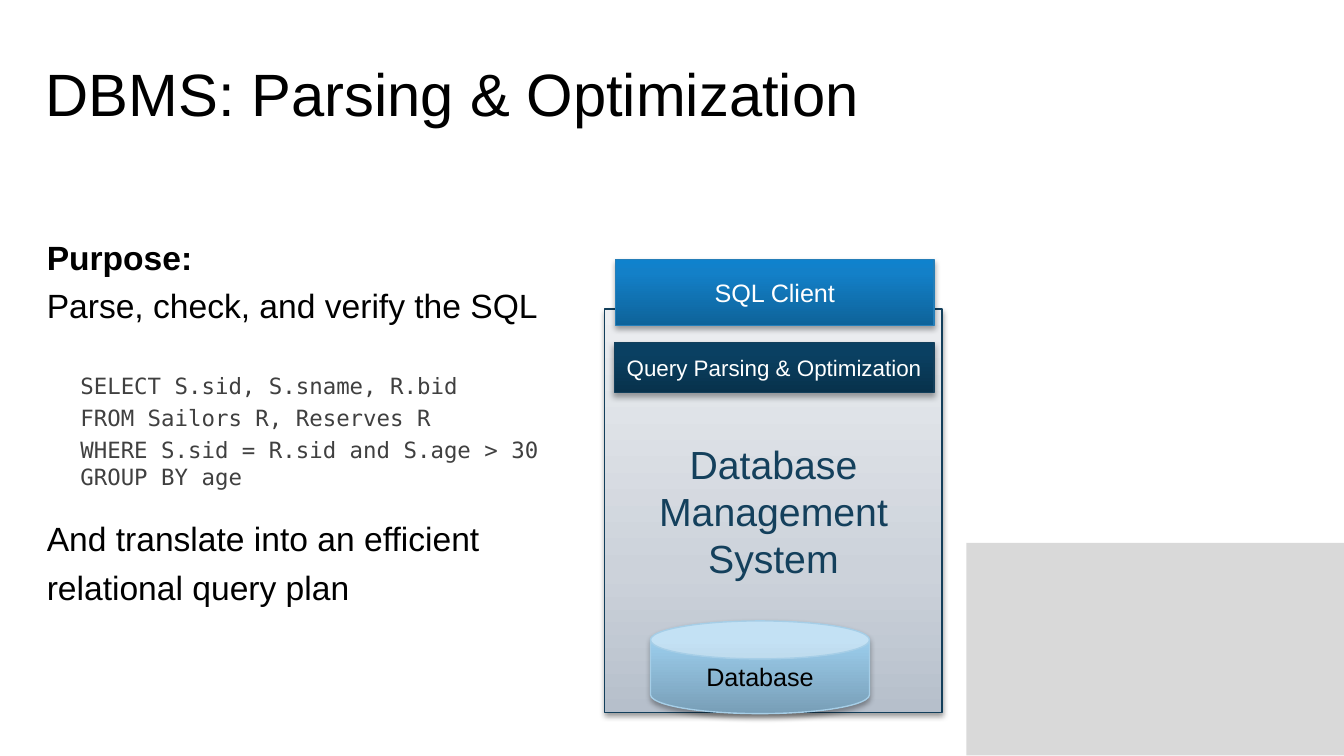
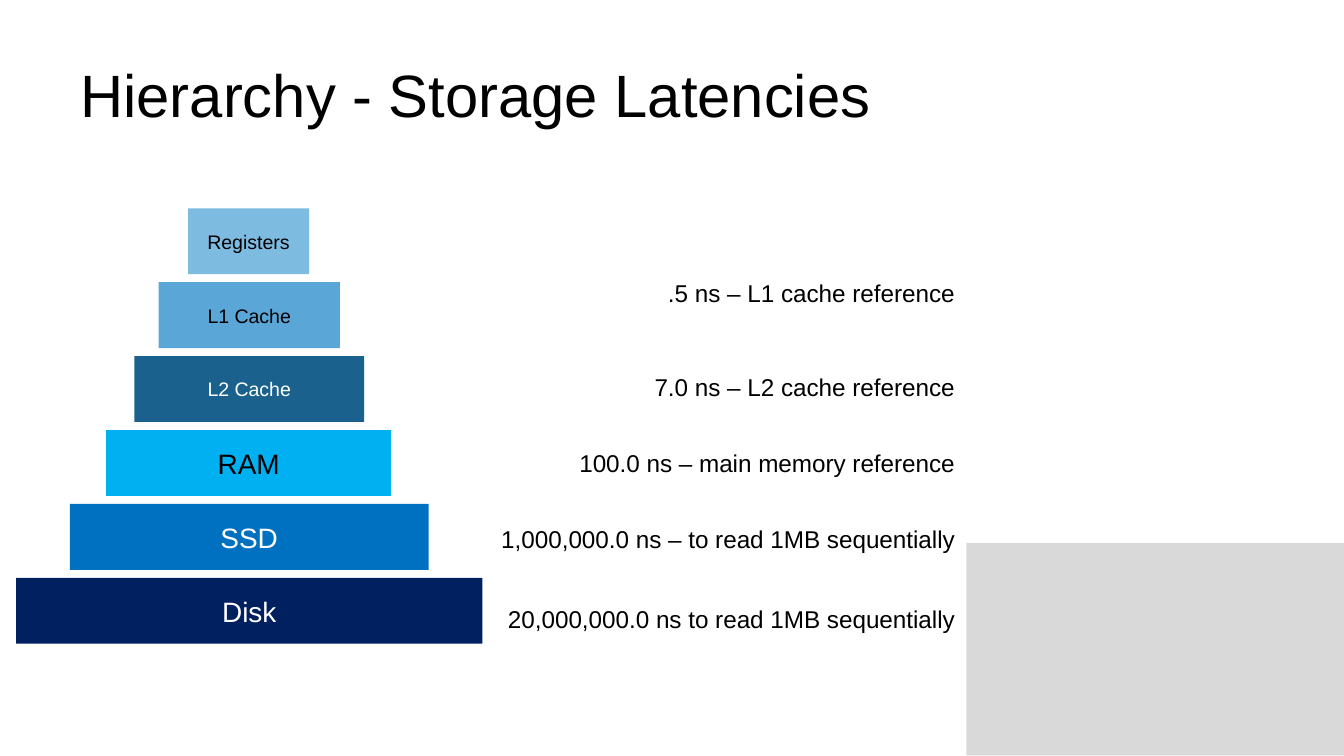
from copy import deepcopy
from dataclasses import dataclass

from lxml import etree
from pptx import Presentation
from pptx import util as u
from pptx.dml.color import RGBColor
from pptx.enum import shapes, text
from pptx.oxml.ns import qn

PX = 9144  # EMU, 100 px to the inch
LEFT, MID, RIGHT = text.PP_ALIGN.LEFT, text.PP_ALIGN.CENTER, text.PP_ALIGN.RIGHT
RECT, CAN = shapes.MSO_SHAPE.RECTANGLE, shapes.MSO_SHAPE.CAN


@dataclass(frozen=True)
class Theme:
    sans: str = "Arial"
    mono: str = "DejaVu Sans Mono"
    black: str = "000000"
    white: str = "FFFFFF"
    grey: str = "D9D9D9"
    code: str = "404040"
    name: str = "14405C"
    edge: str = "133F5B"
    # gradients run from bottom to top: (percent, colour)
    pale: tuple = ((0, "B6BFCB"), (35, "CCD2DA"), (100, "ECEEF1"))
    sky: tuple = ((0, "789EB7"), (80, "9CCEED"), (100, "9CCFF0"))
    rim: str = "A6CEE7"
    navy: tuple = ((0, "08324C"), (80, "0A4062"), (100, "094165"))
    blue: tuple = ((0, "0E639A"), (80, "1380C8"), (100, "0F82CD"))
    trim: str = "257EB8"
    tiers: tuple = ("7EBBE1", "59A6D7", "1B618E", "00B0F0", "0070C0", "002060")
    title: float = 32
    body: float = 18
    list: float = 13
    query: float = 12
    big: float = 21
    label: float = 13.5
    small: float = 12
    cache: float = 10.5
    store: float = 15


T = Theme()


def px(*vals):
    return [u.Emu(v * PX) for v in vals]


def put(obj, **vals):
    """Set each named attribute on obj."""
    for key, val in vals.items():
        setattr(obj, key, val)


def write(frame, lines, align=LEFT):
    """Fill a frame with lines given as dicts: text, size, color, font, bold, gap, dent."""
    for i, line in enumerate(lines):
        para = frame.paragraphs[0] if i == 0 else frame.add_paragraph()
        para.text = line["text"]
        put(para, alignment=align, space_before=u.Pt(line.get("gap", 0)))
        if "dent" in line:
            para._p.get_or_add_pPr().set("marL", str(line["dent"] * PX))
        for run in para.runs:
            put(run.font, name=line.get("font", T.sans), size=u.Pt(line["size"]),
                bold=line.get("bold", False))
            run.font.color.rgb = RGBColor.from_string(line.get("color", T.black))
        for brk in para._p.findall(qn("a:br")):
            brk.append(deepcopy(para.runs[0]._r.rPr))


def note(slide, box, lines, align=LEFT, anchor=text.MSO_ANCHOR.TOP):
    frame = slide.shapes.add_textbox(*px(*box)).text_frame
    put(frame, word_wrap=True, vertical_anchor=anchor)
    write(frame, lines, align)


def head(slide, box, words):
    note(slide, box, [dict(text=words, size=T.title)], anchor=text.MSO_ANCHOR.MIDDLE)


def block(host, kind, box, fill, lines=()):
    """Add a flat shape without outline, with centred text."""
    shape = host.add_shape(kind, *px(*box))
    shape.shadow.inherit = False
    shape.fill.solid()
    shape.fill.fore_color.rgb = RGBColor.from_string(fill)
    shape.line.fill.background()
    put(shape.text_frame, word_wrap=True, vertical_anchor=text.MSO_ANCHOR.MIDDLE)
    write(shape.text_frame, lines, MID)
    return shape


def tint(parent, color):
    return etree.SubElement(parent, qn("a:srgbClr"), val=color)


def gloss(host, kind, box, stops, edge, lines, alpha=35, drop=1.8):
    """Add a block with a gradient, a thin outline and a soft shadow."""
    shape = block(host, kind, box, T.white, lines)
    shape.fill.gradient()
    shape.fill.gradient_angle = 90
    props = shape._element.spPr
    ramp = props.find(".//" + qn("a:gsLst"))
    for stop in list(ramp):
        ramp.remove(stop)
    for part, color in stops:
        tint(etree.SubElement(ramp, qn("a:gs"), pos=str(part * 1000)), color)
    shape.line.color.rgb = RGBColor.from_string(edge)
    shape.line.width = u.Pt(0.75)
    shade = etree.SubElement(
        props.find(qn("a:effectLst")), qn("a:outerShdw"), blurRad=str(u.Pt(3.1)),
        dist=str(u.Pt(drop)), dir="5400000", algn="ctr", rotWithShape="0")
    etree.SubElement(tint(shade, T.black), qn("a:alpha"), val=str(alpha * 1000))
    side, edge_in = px(7, 4)
    put(shape.text_frame, margin_left=side, margin_right=side,
        margin_top=edge_in, margin_bottom=edge_in)
    return shape


def page(prs):
    """Add a blank slide with the grey corner panel."""
    slide = prs.slides.add_slide(prs.slide_layouts[6])
    block(slide.shapes, RECT, (719, 404, 281, 158), T.grey)
    return slide


def parsing(prs):
    slide = page(prs)
    head(slide, (24, 22, 808, 94), "DBMS: Parsing & Optimization")
    code = dict(size=T.query, font=T.mono, color=T.code, dent=25)
    note(slide, (25, 171, 900, 371), [
        dict(text="Purpose:", size=T.body, bold=True),
        dict(text="Parse, check, and verify the SQL", size=T.body, gap=4.5),
        dict(code, text="SELECT S.sid, S.sname, R.bid", gap=25),
        dict(code, text="FROM Sailors R, Reserves R", gap=2.7),
        dict(code, text="WHERE S.sid = R.sid and S.age > 30\vGROUP BY age", gap=2.7),
        dict(text="And translate into an efficient", size=T.body, gap=15),
        dict(text="relational query plan", size=T.body, gap=4.5),
    ])
    group = slide.shapes.add_group_shape().shapes
    gloss(group, RECT, (450, 230, 251, 300), T.pale, T.edge,
          [dict(text=words, size=T.big, color=T.name)
           for words in ("Database Management", "System")], alpha=38, drop=1.6)
    can = gloss(group, CAN, (484, 462, 163, 69), T.sky, T.rim,
                [dict(text="Database", size=T.label)])
    can.adjustments[0] = 0.41
    gloss(slide.shapes, RECT, (457, 255, 238, 37), T.navy, T.edge,
          [dict(text="Query Parsing & Optimization", size=T.small, color=T.white)])
    gloss(slide.shapes, RECT, (458, 193, 237, 49), T.blue, T.trim,
          [dict(text="SQL Client", size=T.label, color=T.white)])


def latency(prs):
    slide = page(prs)
    head(slide, (50, 23, 900, 94), "Hierarchy - Storage Latencies")
    times = [
        (".5 ns – L1 cache reference", 0),
        ("7.0 ns – L2 cache reference", 35),
        ("100.0 ns – main memory reference", 25),
        ("1,000,000.0 ns – to read 1MB sequentially", 25),
        ("20,000,000.0 ns to read 1MB sequentially", 27),
    ]
    note(slide, (333, 202, 387, 360),
         [dict(text=words, size=T.list, gap=gap) for words, gap in times], RIGHT)
    tiers = [
        ("Registers", 90, T.cache, T.black),
        ("L1 Cache", 135, T.cache, T.black),
        ("L2 Cache", 171, T.cache, T.white),
        ("RAM", 212, T.store, T.black),
        ("SSD", 267, T.store, T.white),
        ("Disk", 347, T.store, T.white),
    ]
    group = slide.shapes.add_group_shape().shapes
    for i, (words, wide, size, color) in enumerate(tiers):
        block(group, RECT, ((371 - wide) // 2, 155 + 55 * i, wide, 49), T.tiers[i],
              [dict(text=words, size=size, color=color)])


def main():
    prs = Presentation()
    wide, = px(1000)
    put(prs, slide_width=wide, slide_height=u.Emu(wide * 9 // 16))
    parsing(prs)
    latency(prs)
    prs.save("out.pptx")


if __name__ == "__main__":
    main()
